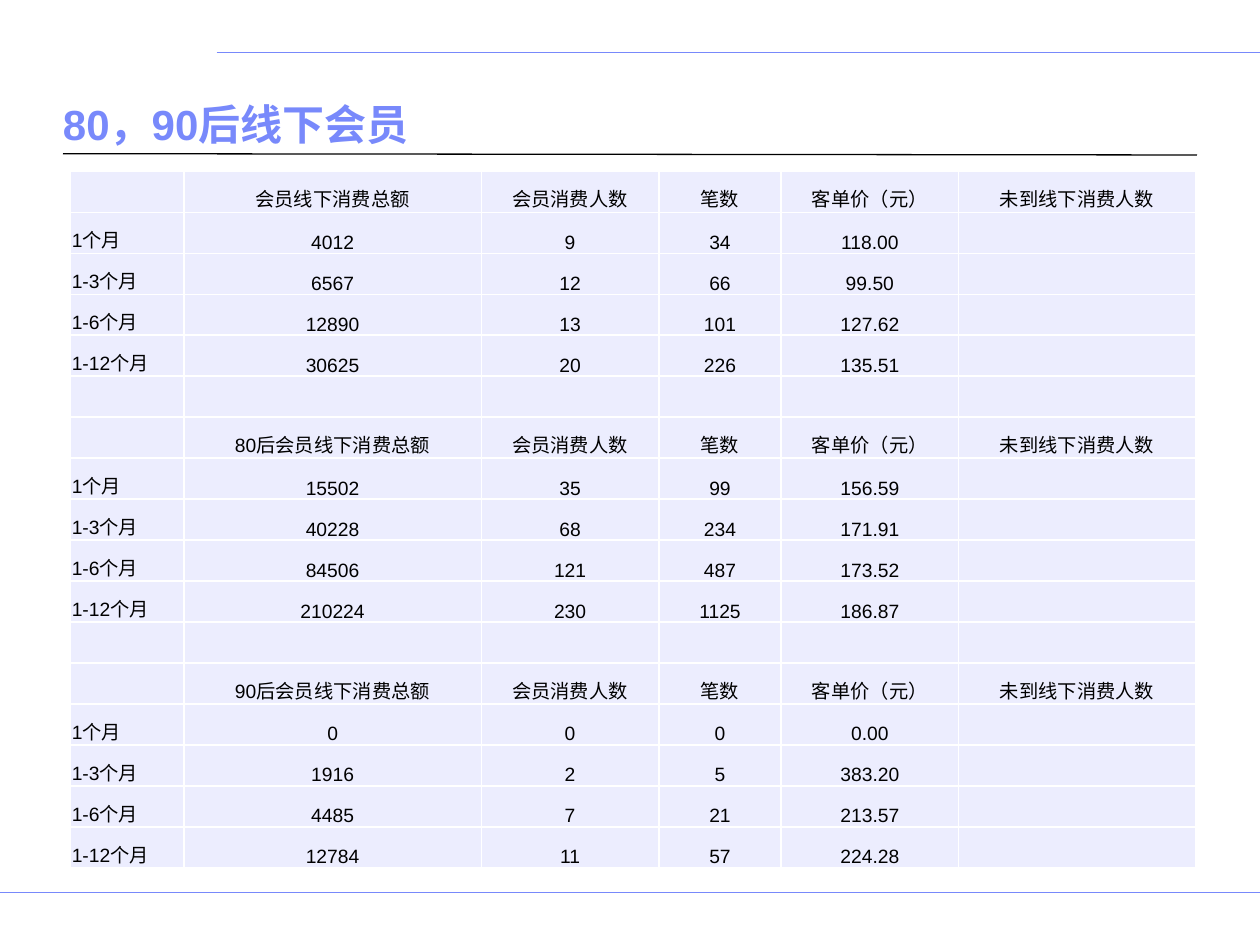
from lxml.etree import SubElement
from pptx import Presentation
from pptx.dml.color import RGBColor
from pptx.enum.shapes import MSO_CONNECTOR
from pptx.enum.text import MSO_ANCHOR, PP_ALIGN
from pptx.oxml.ns import qn
from pptx.util import Inches, Pt

TITLE = "80，90后线下会员"
PERIODS = ["1个月", "1-3个月", "1-6个月", "1-12个月"]
SHARED_HEADINGS = ["会员消费人数", "笔数", "客单价（元）", "未到线下消费人数"]
GROUPS = [
    ("会员线下消费总额", [
        ("4012", "9", "34", "118.00"),
        ("6567", "12", "66", "99.50"),
        ("12890", "13", "101", "127.62"),
        ("30625", "20", "226", "135.51"),
    ]),
    ("80后会员线下消费总额", [
        ("15502", "35", "99", "156.59"),
        ("40228", "68", "234", "171.91"),
        ("84506", "121", "487", "173.52"),
        ("210224", "230", "1125", "186.87"),
    ]),
    ("90后会员线下消费总额", [
        ("0", "0", "0", "0.00"),
        ("1916", "2", "5", "383.20"),
        ("4485", "7", "21", "213.57"),
        ("12784", "11", "57", "224.28"),
    ]),
]
COLUMN_WIDTHS = [0.9, 2.36, 1.41, 0.97, 1.41, 1.88]
TABLE_LEFT, TABLE_TOP, TABLE_HEIGHT = 0.56, 1.36, 5.53

BLUE, BLACK, WHITE, PALE = "7889FB", "000000", "FFFFFF", "ECEDFE"
# start x, start y, end x, end y, colour, width
RULES = [
    (1.72, 0.42, 10, 0.42, BLUE, 0.5),
    (0, 7.08, 10, 7.08, BLUE, 0.5),
    (0.5, 1.22, 9.5, 1.23, BLACK, 0.75),
]
TITLE_FONT = {"name": "Arial", "size": Pt(24), "bold": True}
CELL_FONT = {"name": "Arial", "size": Pt(11), "bold": False}
TITLE_FRAME = {
    "word_wrap": True, "vertical_anchor": MSO_ANCHOR.BOTTOM,
    "margin_left": 0, "margin_right": 0,
    "margin_top": Inches(0.05), "margin_bottom": Inches(0.05),
}
CELL_FORMAT = {
    "vertical_anchor": MSO_ANCHOR.BOTTOM, "margin_bottom": 0,
    "margin_left": Inches(0.01), "margin_right": Inches(0.01),
    "margin_top": Inches(0.01),
}


def rgb(color):
    return RGBColor.from_string(color)


def apply(target, values):
    for name, value in values.items():
        setattr(target, name, value)


def write(para, text, font, color):
    span = para.add_run()
    span.text = text
    apply(span.font, font)
    span.font.color.rgb = rgb(color)


def add_rule(page, x1, y1, x2, y2, color, width):
    rule = page.shapes.add_connector(
        MSO_CONNECTOR.STRAIGHT, Inches(x1), Inches(y1), Inches(x2), Inches(y2))
    rule.line.color.rgb = rgb(color)
    rule.line.width = Pt(width)
    SubElement(rule._element.spPr, qn("a:effectLst"))


def add_title(page):
    box = page.shapes.add_textbox(Inches(0.5), Inches(0.31), Inches(9), Inches(0.92))
    apply(box.text_frame, TITLE_FRAME)
    write(box.text_frame.paragraphs[0], TITLE, TITLE_FONT, BLUE)


def add_borders(cell, color, width):
    properties = cell._tc.get_or_add_tcPr()
    for side in ("lnL", "lnR", "lnT", "lnB"):
        border = SubElement(properties, qn(f"a:{side}"), w=str(Pt(width)))
        fill = SubElement(border, qn("a:solidFill"))
        SubElement(fill, qn("a:srgbClr"), val=color)


def table_rows():
    """Stack the groups, with one empty row between neighbours."""
    rows = []
    for total_heading, records in GROUPS:
        if rows:
            rows.append([""] * len(COLUMN_WIDTHS))
        rows.append(["", total_heading, *SHARED_HEADINGS])
        rows += [[period, *record, ""] for period, record in zip(PERIODS, records)]
    return rows


def add_member_table(page):
    rows = table_rows()
    table = page.shapes.add_table(
        len(rows), len(COLUMN_WIDTHS), Inches(TABLE_LEFT), Inches(TABLE_TOP),
        Inches(sum(COLUMN_WIDTHS)), Inches(TABLE_HEIGHT)).table
    for column, width in zip(table.columns, COLUMN_WIDTHS):
        column.width = Inches(width)
    for r, texts in enumerate(rows):
        table.rows[r].height = Inches(TABLE_HEIGHT / len(rows))
        for c, text in enumerate(texts):
            cell = table.cell(r, c)
            apply(cell, CELL_FORMAT)
            add_borders(cell, WHITE, 1)
            cell.fill.solid()
            cell.fill.fore_color.rgb = rgb(PALE)
            if text:
                para = cell.text_frame.paragraphs[0]
                para.alignment = PP_ALIGN.CENTER if c else PP_ALIGN.LEFT
                write(para, text, CELL_FONT, BLACK)


def main():
    deck = Presentation()
    deck.slide_width, deck.slide_height = Inches(10), Inches(7.5)
    page = deck.slides.add_slide(deck.slide_layouts[6])
    for rule in RULES:
        add_rule(page, *rule)
    add_title(page)
    add_member_table(page)
    deck.save("out.pptx")


if __name__ == "__main__":
    main()
